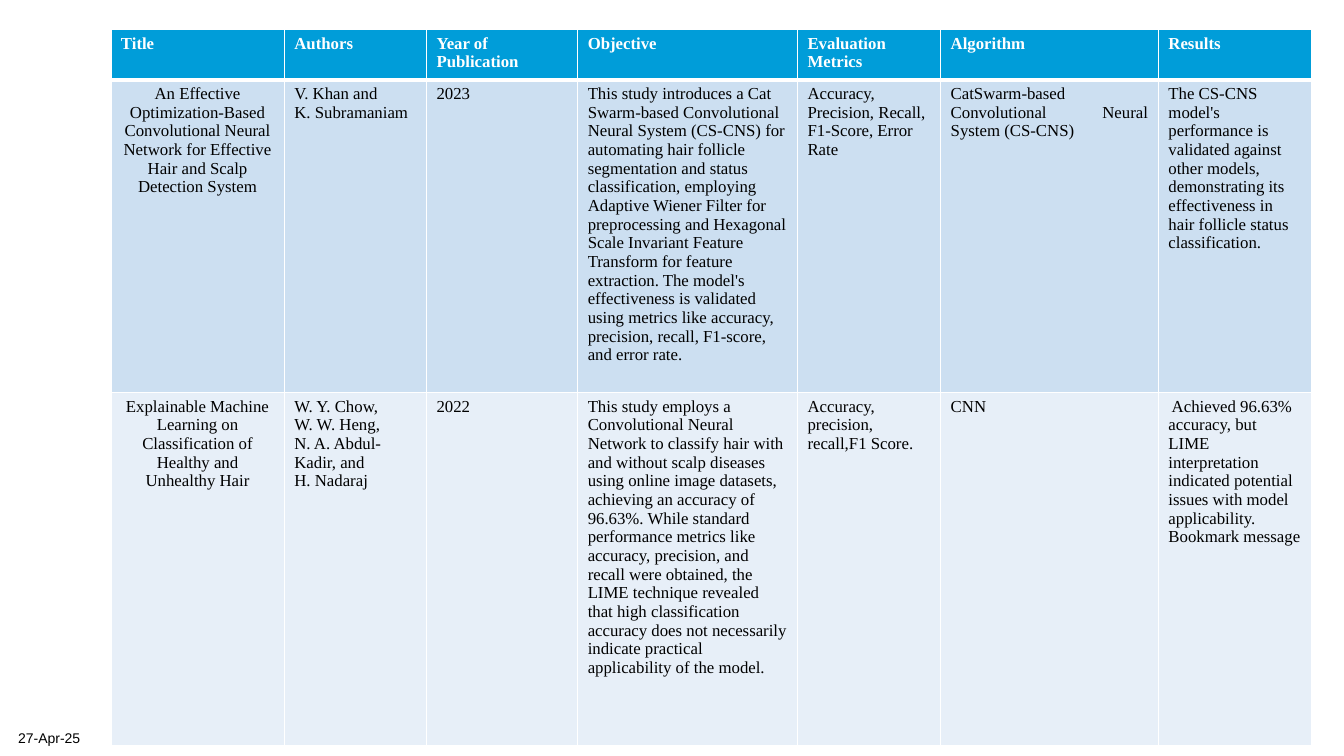
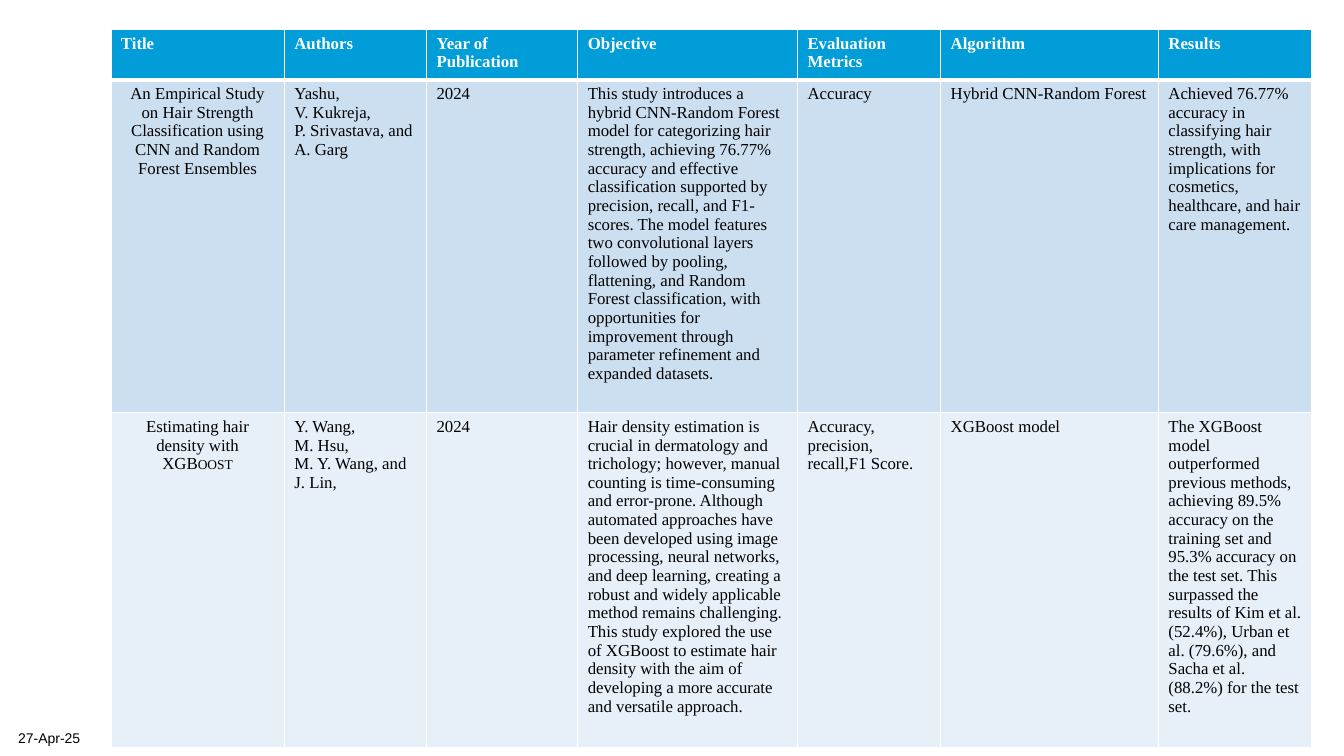
from lxml import etree
from pptx import Presentation
from pptx import util as u
from pptx.dml.color import RGBColor
from pptx.enum import text
from pptx.oxml.ns import qn

PX = 9144  # 100 px to the inch
WHITE, BLACK = "FFFFFF", "000000"
HEADER_FILL = "009DD9"
BODY_FILLS = ["CCDFF1", "E7EFF8"]
TABLE_FONT, FOOTER_FONT = "Times New Roman", "Arial"

HEADERS = ["Title", "Authors", "Year of Publication", "Objective",
           "Evaluation Metrics", "Algorithm", "Results"]
COLUMN_WIDTHS = [172, 141, 150, 218, 142, 216, 152]
COLUMN_ALIGNS = {0: text.PP_ALIGN.CENTER, 5: text.PP_ALIGN.JUSTIFY}
TABLE_LEFT, TABLE_TOP = 110, 29
DATE_BOX = (18, 700, 311, 40)
DATE = "27-Apr-25"
SMALL_CAPS_TITLE_WORD = "XGBoost"

SURVEY_PAGES = [
    {
        "heights": [50, 256, 351],
        "papers": [
            ["An Effective Optimization-Based Convolutional Neural Network for "
             "Effective Hair and Scalp Detection System",
             "V. Khan and\nK. Subramaniam",
             "2023",
             "This study introduces a Cat Swarm-based Convolutional Neural System "
             "(CS-CNS) for automating hair follicle segmentation and status "
             "classification, employing Adaptive Wiener Filter for preprocessing "
             "and Hexagonal Scale Invariant Feature Transform for feature "
             "extraction. The model's effectiveness is validated using metrics "
             "like accuracy, precision, recall, F1-score, and error rate.",
             "Accuracy, Precision, Recall, F1-Score, Error Rate",
             "CatSwarm-based Convolutional Neural System (CS-CNS)",
             "The CS-CNS model's performance is validated against other models, "
             "demonstrating its effectiveness in hair follicle status "
             "classification."],
            ["Explainable Machine Learning on Classification of Healthy and "
             "Unhealthy Hair",
             "W. Y. Chow,\nW. W. Heng,\nN. A. Abdul-Kadir, and\nH. Nadaraj",
             "2022",
             "This study employs a Convolutional Neural Network to classify hair "
             "with and without scalp diseases using online image datasets, "
             "achieving an accuracy of 96.63%. While standard performance metrics "
             "like accuracy, precision, and recall were obtained, the LIME "
             "technique revealed that high classification accuracy does not "
             "necessarily indicate practical applicability of the model.",
             "Accuracy, precision, recall,F1 Score.",
             "CNN",
             " Achieved 96.63% accuracy, but LIME interpretation indicated "
             "potential issues with model applicability.\nBookmark message"],
        ],
    },
    {
        "heights": [47, 313, 333],
        "papers": [
            ["An Empirical Study on Hair Strength Classification using CNN and "
             "Random Forest Ensembles",
             "Yashu,\nV. Kukreja,\nP. Srivastava, and A. Garg",
             "2024",
             "This study introduces a hybrid CNN-Random Forest model for "
             "categorizing hair strength, achieving 76.77% accuracy and effective "
             "classification supported by precision, recall, and F1-scores. The "
             "model features two convolutional layers followed by pooling, "
             "flattening, and Random Forest classification, with opportunities "
             "for improvement through parameter refinement and expanded datasets.",
             "Accuracy",
             "Hybrid CNN-Random Forest",
             "Achieved 76.77% accuracy in classifying hair strength, with "
             "implications for cosmetics, healthcare, and hair care management."],
            ["Estimating hair density with XGBoost",
             "Y. Wang,\nM. Hsu,\nM. Y. Wang, and J. Lin,",
             "2024",
             "Hair density estimation is crucial in dermatology and trichology; "
             "however, manual counting is time-consuming and error-prone. Although "
             "automated approaches have been developed using image processing, "
             "neural networks, and deep learning, creating a robust and widely "
             "applicable method remains challenging. This study explored the use "
             "of XGBoost to estimate hair density with the aim of developing a "
             "more accurate and versatile approach.",
             "Accuracy, precision, recall,F1 Score.",
             "XGBoost model",
             "The XGBoost model outperformed previous methods, achieving 89.5% "
             "accuracy on the training set and 95.3% accuracy on the test set. "
             "This surpassed the results of Kim et al. (52.4%), Urban et al. "
             "(79.6%), and Sacha et al. (88.2%) for the test set."],
        ],
    },
]


def px(length):
    return u.Emu(length * PX)


def color(hex_string):
    return RGBColor.from_string(hex_string)


def format_span(span, font, size, ink, bold=False):
    span.font.name = font
    span.font.size = u.Pt(size)
    span.font.color.rgb = color(ink)
    span.font.bold = bold


def set_borders(cell, top, bottom):
    """Draw white borders; the sides are 1 pt, top and bottom are given in pt."""
    properties = cell._tc.get_or_add_tcPr()
    for index, (side, width) in enumerate(
            [("lnL", 1), ("lnR", 1), ("lnT", top), ("lnB", bottom)]):
        line = etree.Element(qn(f"a:{side}"), w=str(u.Pt(width)))
        fill = etree.SubElement(line, qn("a:solidFill"))
        etree.SubElement(fill, qn("a:srgbClr"), val=WHITE)
        properties.insert(index, line)


def split_small_caps(para):
    """Move a closing small-caps word of a paper title into its own run."""
    lead = para.text.removesuffix(SMALL_CAPS_TITLE_WORD)
    if lead == para.text:
        return
    para.text = lead
    span = para.add_run()
    span.text = SMALL_CAPS_TITLE_WORD
    span._r.get_or_add_rPr().set("cap", "small")


def fill_cell(cell, words, row, column):
    is_header = row == 0
    cell.fill.solid()
    cell.fill.fore_color.rgb = color(HEADER_FILL if is_header else BODY_FILLS[row - 1])
    set_borders(cell, top=3 if row == 1 else 1, bottom=3 if is_header else 1)
    cell.text_frame.text = words
    for para in cell.text_frame.paragraphs:
        if not is_header:
            para.alignment = COLUMN_ALIGNS.get(column, text.PP_ALIGN.LEFT)
            if column == 0:
                split_small_caps(para)
        for span in para.runs:
            format_span(span, TABLE_FONT, 12, WHITE if is_header else BLACK, is_header)


def add_survey_table(page, left, top, heights, papers):
    rows = [HEADERS, *papers]
    table = page.shapes.add_table(
        len(rows), len(HEADERS), px(left), px(top),
        px(sum(COLUMN_WIDTHS)), px(sum(heights))).table
    table.horz_banding = False
    for column, width in zip(table.columns, COLUMN_WIDTHS):
        column.width = px(width)
    for row, (height, entries) in enumerate(zip(heights, rows)):
        table.rows[row].height = px(height)
        for column, words in enumerate(entries):
            fill_cell(table.cell(row, column), words, row, column)


def add_date(page, left, top, width, height):
    frame = page.shapes.add_textbox(px(left), px(top), px(width), px(height)).text_frame
    frame.word_wrap = True
    frame.vertical_anchor = text.MSO_ANCHOR.BOTTOM
    frame.margin_left = frame.margin_right = frame.margin_top = frame.margin_bottom = 0
    frame.text = DATE
    format_span(frame.paragraphs[0].runs[0], FOOTER_FONT, 10, BLACK)


def add_survey_page(deck, heights, papers):
    page = deck.slides.add_slide(deck.slide_layouts[6])
    add_date(page, *DATE_BOX)
    add_survey_table(page, TABLE_LEFT, TABLE_TOP, heights, papers)


def main():
    deck = Presentation()
    deck.slide_width, deck.slide_height = px(1333), px(750)
    for survey in SURVEY_PAGES:
        add_survey_page(deck, **survey)
    deck.save("out.pptx")


if __name__ == "__main__":
    main()
